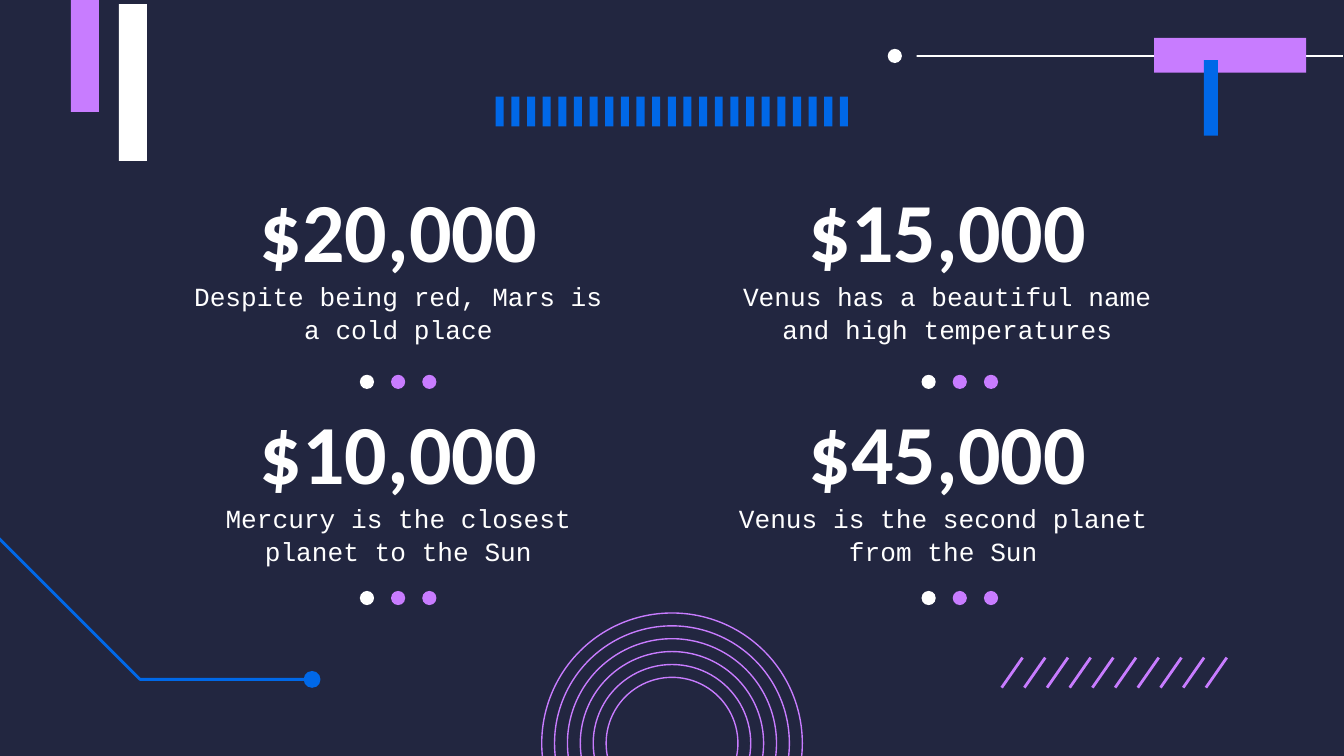
from pptx import Presentation
from pptx.dml.color import RGBColor
from pptx.enum.shapes import MSO_CONNECTOR, MSO_SHAPE
from pptx.enum.text import MSO_ANCHOR, MSO_AUTO_SIZE, PP_ALIGN
from pptx.oxml.ns import qn
from pptx.util import Pt

NAVY = RGBColor(0x22, 0x26, 0x40)
WHITE = RGBColor(0xFF, 0xFF, 0xFF)
PURPLE = RGBColor(0xC8, 0x7C, 0xFF)
BLUE = RGBColor(0x00, 0x68, 0xE8)

RECTANGLE, OVAL = MSO_SHAPE.RECTANGLE, MSO_SHAPE.OVAL
STRAIGHT = MSO_CONNECTOR.STRAIGHT
CENTER, MIDDLE, NO_AUTOFIT = PP_ALIGN.CENTER, MSO_ANCHOR.MIDDLE, MSO_AUTO_SIZE.NONE

COMPARISON_LAYOUT = 4
FIGURE_HEIGHT, CAPTION_HEIGHT = 72.7, 28.8

# figure, caption, figure left, caption left, width, figure top
FACTS = [
    ("$20,000", "Despite being red, Mars is a cold place", 79.2, 79.2, 268.6, 86.4),
    ("$15,000", "Venus has a beautiful name and high temperatures", 374.4, 374.4, 266.4, 86.4),
    ("$10,000", "Mercury is the closest planet to the Sun", 79.2, 79.2, 268.6, 205.2),
    ("$45,000", "Venus is the second planet from the Sun", 374.4, 372.2, 266.4, 205.2),
]
CAPTION_OFFSET = 66.2


def add_filled(slide, kind, left, top, width, height, color):
    shape = slide.shapes.add_shape(kind, Pt(left), Pt(top), Pt(width), Pt(height))
    shape.shadow.inherit = False
    shape.fill.solid()
    shape.fill.fore_color.rgb = color
    shape.line.fill.background()


def add_dot(slide, center_x, center_y, diameter, color):
    add_filled(slide, OVAL, center_x - diameter / 2, center_y - diameter / 2,
               diameter, diameter, color)


def add_dot_trio(slide, first_x, center_y):
    for index, color in enumerate((WHITE, PURPLE, PURPLE)):
        add_dot(slide, first_x + index * 16.72, center_y, 7.6, color)


def add_ring(slide, center_x, center_y, diameter):
    ring = slide.shapes.add_shape(OVAL, Pt(center_x - diameter / 2), Pt(center_y - diameter / 2),
                                  Pt(diameter), Pt(diameter))
    ring.shadow.inherit = False
    ring.fill.background()
    ring.line.color.rgb = PURPLE
    ring.line.width = Pt(0.75)


def add_slash(slide, left, top, width, height):
    slash = slide.shapes.add_connector(STRAIGHT, Pt(left + width), Pt(top),
                                       Pt(left), Pt(top + height))
    slash.line.color.rgb = PURPLE
    slash.line.width = Pt(1.5)
    properties = slash.element.spPr
    properties.append(properties.makeelement(qn("a:effectLst"), {}))


def add_bar_strip(slide, left, top, bar_width, height, pitch, count):
    """Draw a row of equal bars as one outline."""
    builder = slide.shapes.build_freeform(Pt(left), Pt(top))
    for index in range(count):
        x = left + index * pitch
        if index:
            builder.move_to(Pt(x), Pt(top))
        corners = [(x, top + height), (x + bar_width, top + height), (x + bar_width, top)]
        builder.add_line_segments([(Pt(a), Pt(b)) for a, b in corners], close=True)
    strip = builder.convert_to_shape()
    strip.shadow.inherit = False
    strip.fill.solid()
    strip.fill.fore_color.rgb = BLUE
    strip.line.fill.background()


def add_circuit_line(slide, points):
    start, *rest = [(Pt(x), Pt(y)) for x, y in points]
    builder = slide.shapes.build_freeform(*start)
    builder.add_line_segments(rest, close=False)
    line = builder.convert_to_shape()
    line.shadow.inherit = False
    line.fill.background()
    line.line.color.rgb = BLUE
    line.line.width = Pt(1.5)


def place_text(shape, text, box, side_inset, font_name, size, bold, line_spacing):
    shape.left, shape.top, shape.width, shape.height = (Pt(value) for value in box)
    frame = shape.text_frame
    frame.word_wrap = True
    frame.auto_size = NO_AUTOFIT
    frame.vertical_anchor = MIDDLE
    frame.margin_left = frame.margin_right = Pt(side_inset)
    frame.margin_top = frame.margin_bottom = Pt(7.2)
    paragraph = frame.paragraphs[0]
    properties = paragraph._p.get_or_add_pPr()
    properties.set("marL", "0")
    properties.set("indent", "0")
    properties.append(properties.makeelement(qn("a:buNone"), {}))
    paragraph.alignment = CENTER
    paragraph.space_before = Pt(0)
    paragraph.line_spacing = line_spacing
    run = paragraph.add_run()
    run.text = text
    run.font.name = font_name
    run.font.size = Pt(size)
    run.font.bold = bold
    run.font.color.rgb = WHITE


def add_facts(slide):
    """Put the first figure in the title, and the captions in the body placeholders."""
    title, *bodies = slide.placeholders
    for index, (figure, caption, left, caption_left, width, top) in enumerate(FACTS):
        heading = slide.shapes.add_textbox(0, 0, 0, 0) if index else title
        place_text(heading, figure, (left, top, width, FIGURE_HEIGHT),
                   7.2, "Calibri", 45, True, 1.0)
        place_text(bodies[index], caption,
                   (caption_left, top + CAPTION_OFFSET, width, CAPTION_HEIGHT),
                   18, "Courier New", 14, False, 1.06)


def add_decoration(slide):
    add_bar_strip(slide, 265.6, 51.8, 4.3, 16, 8.38, 23)
    for index in range(10):
        add_slash(slide, 536.6 + index * 12.16, 352.3, 11.2, 16.1)

    add_circuit_line(slide, [(-29.5, 259.4), (75, 364), (167.2, 364)])
    add_dot(slide, 167.2, 364, 9, BLUE)

    add_filled(slide, RECTANGLE, 491, 29.5, 228.5, 1, WHITE)
    add_dot(slide, 479.4, 30, 7.6, WHITE)
    add_filled(slide, RECTANGLE, 618.3, 20.3, 81.4, 18.7, PURPLE)
    add_filled(slide, RECTANGLE, 645, 32.2, 7.5, 40.5, BLUE)

    add_filled(slide, RECTANGLE, 38, -24, 15, 84, PURPLE)
    add_filled(slide, RECTANGLE, 63.7, 2.2, 15, 84, WHITE)

    for index in range(6):
        add_ring(slide, 360, 398.2, 70.6 + index * 13.8)


def main():
    presentation = Presentation()
    presentation.slide_width, presentation.slide_height = Pt(720), Pt(405)
    slide = presentation.slides.add_slide(presentation.slide_layouts[COMPARISON_LAYOUT])
    slide.background.fill.solid()
    slide.background.fill.fore_color.rgb = NAVY
    add_decoration(slide)
    add_facts(slide)
    for first_x in (196.6, 497.5):
        for center_y in (204.6, 320.4):
            add_dot_trio(slide, first_x, center_y)
    presentation.save("out.pptx")


if __name__ == "__main__":
    main()
